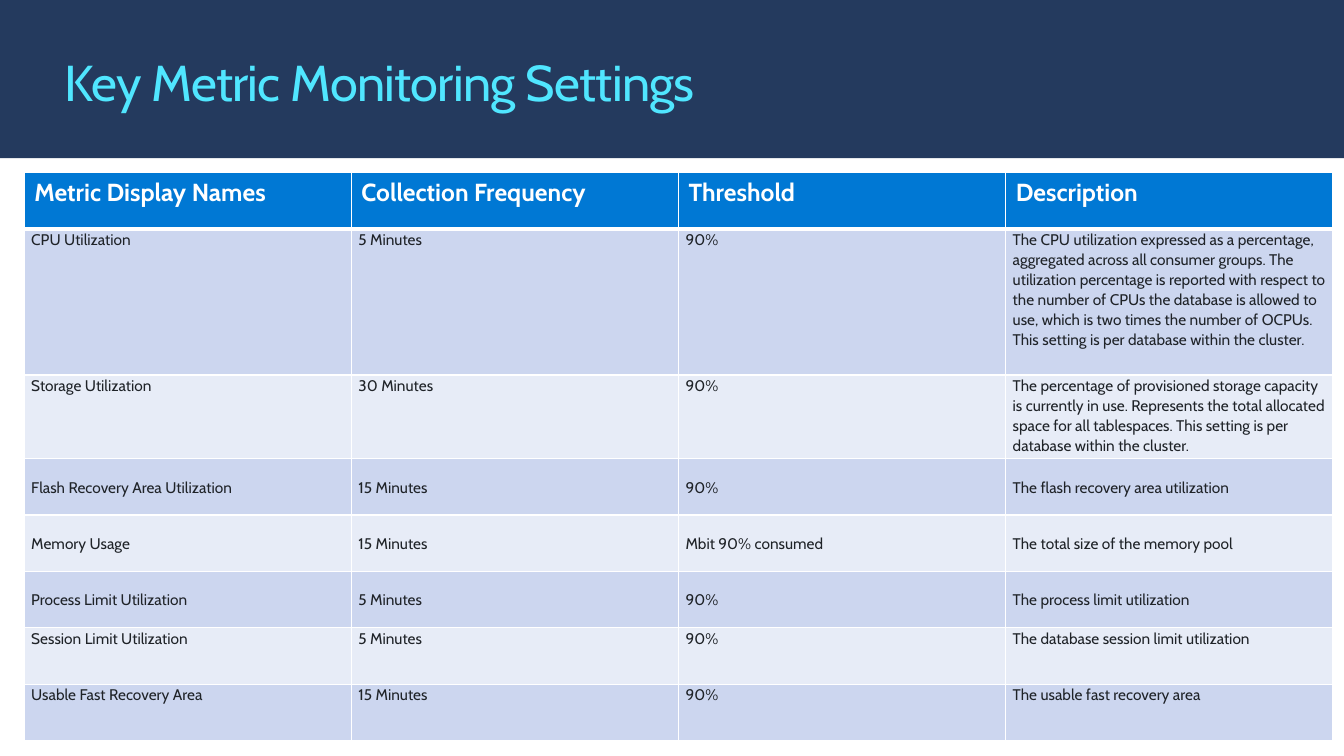
from lxml.etree import SubElement as Sub
from pptx import Presentation
from pptx.dml.color import RGBColor as Rgb
from pptx.enum.shapes import MSO_SHAPE as Kind
from pptx.enum.text import MSO_ANCHOR as Anchor
from pptx.oxml.ns import qn
from pptx.util import Inches, Pt

HUES = {
    "band": "243A5E",
    "title": "50E6FF",
    "head": "0078D4",
    "odd": "CCD6EF",
    "even": "E7ECF7",
    "ink": "1F2328",
    "white": "FFFFFF",
}
FACE = "Cabin"
HEADS = ["Metric Display Names", "Collection Frequency", "Threshold", "Description"]
ROWS = [
    ["CPU Utilization", "5 Minutes", "90%",
     "The CPU utilization expressed as a percentage, aggregated across all "
     "consumer groups. The utilization percentage is reported with respect to "
     "the number of CPUs the database is allowed to use, which is two times the "
     "number of OCPUs. This setting is per database within the cluster."],
    ["Storage Utilization", "30 Minutes", "90%",
     "The percentage of provisioned storage capacity is currently in use. "
     "Represents the total allocated space for all tablespaces. This setting is "
     "per database within the cluster."],
    ["Flash Recovery Area Utilization", "15 Minutes", "90%",
     "The flash recovery area utilization"],
    ["Memory Usage", "15 Minutes", "Mbit 90% consumed",
     "The total size of the memory pool"],
    ["Process Limit Utilization", "5 Minutes", "90%",
     "The process limit utilization"],
    ["Session Limit Utilization", "5 Minutes", "90%",
     "The database session limit utilization"],
    ["Usable Fast Recovery Area", "15 Minutes", "90%",
     "The usable fast recovery area"],
]
TALL = {1: 1.45, 2: 0.83}
MIDDLE = {3, 4, 5}


def paint(fill, hue):
    fill.solid()
    fill.fore_color.rgb = Rgb.from_string(HUES[hue])


def style(para, size, hue, bold=False):
    for run in para.runs:
        font = run.font
        font.name = FACE
        font.size = Pt(size)
        font.bold = bold
        font.color.rgb = Rgb.from_string(HUES[hue])


def add_band(slide):
    band = slide.shapes.add_shape(Kind.RECTANGLE, 0, 0, Inches(13.33), Inches(1.57))
    band.shadow.inherit = False
    paint(band.fill, "band")
    band.line.fill.background()


def add_title(slide, text):
    box = slide.shapes.add_textbox(Inches(0.64), Inches(0.5), Inches(12.05), Inches(0.61))
    frame = box.text_frame
    frame.word_wrap = True
    frame.vertical_anchor = Anchor.MIDDLE
    frame.margin_left = frame.margin_right = 0
    frame.margin_top = frame.margin_bottom = 0
    frame.text = text
    para = frame.paragraphs[0]
    style(para, 36, "title")
    para.runs[0].font._element.set("spc", "-50")


def add_edges(cell, top, base):
    props = cell._tc.get_or_add_tcPr()
    for side, width in zip("LRTB", (1, 1, top, base)):
        line = Sub(props, qn(f"a:ln{side}"), w=str(Pt(width)))
        fill = Sub(line, qn("a:solidFill"))
        Sub(fill, qn("a:srgbClr"), val=HUES["white"])


def fill_cell(cell, text, row):
    cell.text = text
    para = cell.text_frame.paragraphs[0]
    add_edges(cell, 3 if row == 1 else 1, 3 if row == 0 else 1)
    if row == 0:
        paint(cell.fill, "head")
        style(para, 17.6, "white", True)
        return
    paint(cell.fill, "odd" if row % 2 else "even")
    style(para, 11, "ink")
    para.line_spacing = 1.07
    cell.margin_left = cell.margin_right = Inches(0.07)
    cell.margin_top = cell.margin_bottom = 0
    cell.vertical_anchor = Anchor.MIDDLE if row in MIDDLE else Anchor.TOP


def add_grid(slide):
    data = [HEADS] + ROWS
    grid = slide.shapes.add_table(
        len(data), len(HEADS), Inches(0.24), Inches(1.71), Inches(12.98), Inches(5.63)
    ).table
    for row, texts in enumerate(data):
        grid.rows[row].height = Inches(TALL.get(row, 0.56))
        for col, text in enumerate(texts):
            fill_cell(grid.cell(row, col), text, row)


def main():
    deck = Presentation()
    deck.slide_width = Inches(13.33)
    deck.slide_height = Inches(7.5)
    slide = deck.slides.add_slide(deck.slide_layouts[6])
    add_band(slide)
    add_title(slide, "Key Metric Monitoring Settings")
    add_grid(slide)
    deck.save("out.pptx")


if __name__ == "__main__":
    main()
